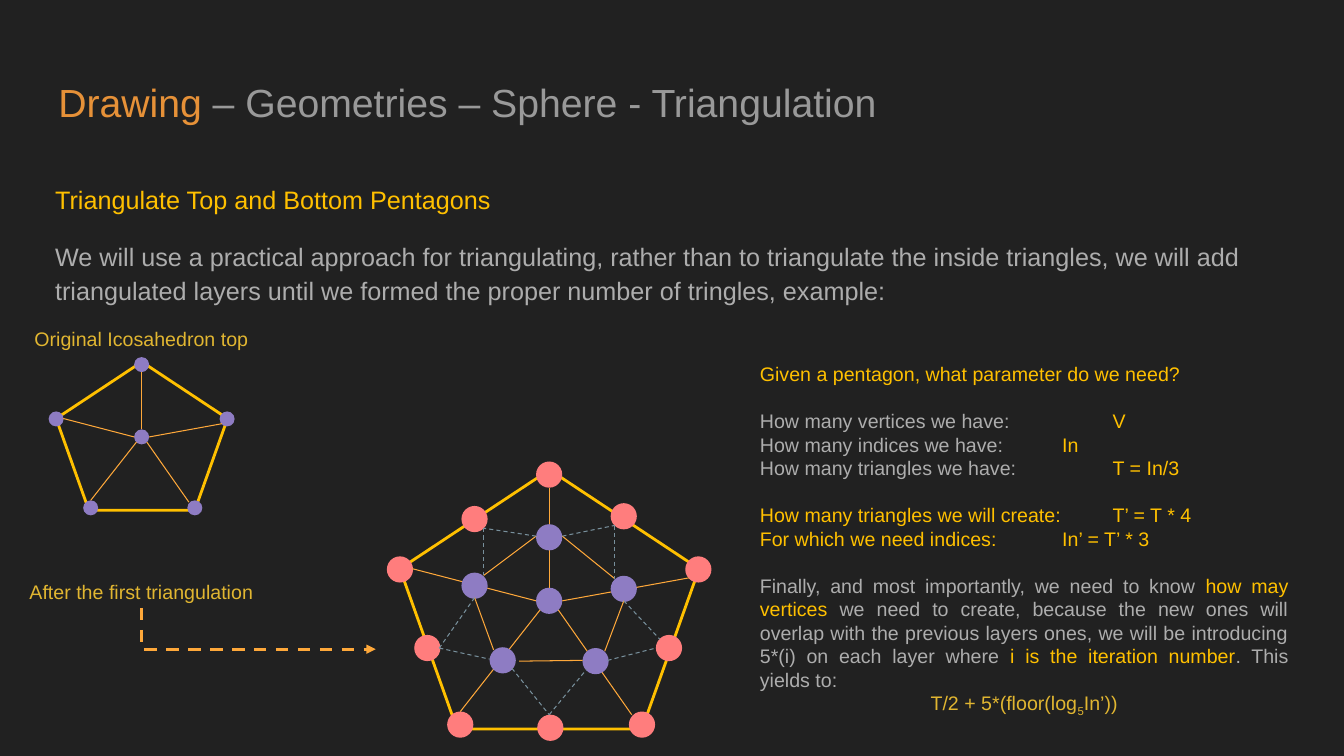
from lxml import etree
from pptx import Presentation, util as u
from pptx.dml.color import RGBColor
from pptx.enum import dml, shapes, text
from pptx.oxml.ns import qn

GOLD, SAND, ASH = "FFC000", "E1B631", "ADADAD"
ORANGE, SLATE = "FEA83A", "78909C"
PLUM, CORAL = "8E7CC3", "FF7D7D"
LEFT, MID, JUST = text.PP_ALIGN.LEFT, text.PP_ALIGN.CENTER, text.PP_ALIGN.JUSTIFY


def tint(hue):
    return RGBColor.from_string(hue)


class Art:
    font = "Arial"

    def __init__(self, slide):
        self.slide = slide
        self.items = slide.shapes
        slide.background.fill.solid()
        slide.background.fill.fore_color.rgb = tint("212121")

    def group(self):
        self.items = self.slide.shapes.add_group_shape().shapes

    def flat(self):
        self.items = self.slide.shapes

    def label(self, x, y, w, h, size, paras, pad=(0.25, 0.13), lead=None, after=0):
        frame = self.items.add_textbox(u.Cm(x), u.Cm(y), u.Cm(w), u.Cm(h)).text_frame
        frame.word_wrap = True
        frame.margin_left = frame.margin_right = u.Cm(pad[0])
        frame.margin_top = frame.margin_bottom = u.Cm(pad[1])
        for i, (align, gap, runs) in enumerate(paras):
            para = frame.add_paragraph() if i else frame.paragraphs[0]
            para.alignment = align
            para.space_before, para.space_after = u.Pt(gap), u.Pt(after)
            if lead:
                para.line_spacing = lead
            for words, hue, *base in runs:
                run = para.add_run()
                run.text = words
                run.font.name, run.font.size = self.font, u.Pt(size)
                run.font.color.rgb = tint(hue)
                if base:
                    run._r.get_or_add_rPr().set("baseline", str(base[0] * 1000))

    def shape(self, kind, x, y, w, h, fill=None, edge=None):
        item = self.items.add_shape(kind, u.Cm(x), u.Cm(y), u.Cm(w), u.Cm(h))
        item.shadow.inherit = False
        if fill:
            item.fill.solid()
            item.fill.fore_color.rgb = tint(fill)
        else:
            item.fill.background()
        if edge:
            item.line.color.rgb = tint(edge)
            item.line.width = u.Pt(2)
        else:
            item.line.fill.background()

    def dot(self, x, y, size, hue):
        self.shape(shapes.MSO_SHAPE.OVAL, x - size / 2, y - size / 2, size, size, hue)

    def line(self, start, end, hue=ORANGE, width=0.75, dash=False,
             kind=shapes.MSO_CONNECTOR.STRAIGHT):
        link = self.items.add_connector(kind, *(u.Cm(v) for v in (*start, *end)))
        link.line.color.rgb = tint(hue)
        link.line.width = u.Pt(width)
        if dash:
            link.line.dash_style = dml.MSO_LINE.DASH
        etree.SubElement(link._element.spPr, qn("a:effectLst"))
        return link

    def bend(self, start, end, hue, width):
        x, y = (start[0] + end[0]) / 2, (start[1] + end[1]) / 2
        w, h = end[1] - start[1], end[0] - start[0]
        link = self.line((x - w / 2, y - h / 2), (x + w / 2, y + h / 2),
                         hue, width, True, shapes.MSO_CONNECTOR.ELBOW)
        props = link._element.spPr
        props.find(qn("a:prstGeom")).set("prst", "bentConnector2")
        frame = props.find(qn("a:xfrm"))
        frame.set("rot", "16200000")
        frame.set("flipH", "1")
        etree.SubElement(props.find(qn("a:ln")), qn("a:tailEnd"), type="triangle")

    def trail(self, hub, points, scale=1, hue=ORANGE, dash=False):
        spots = [(hub[0] + x * scale, hub[1] + y * scale) for x, y in points]
        for start, end in zip(spots, spots[1:]):
            self.line(start, end, hue, dash=dash)

    def dots(self, hub, points, hue, scale=1):
        for x, y in points:
            self.dot(hub[0] + x * scale, hub[1] + y * scale, 0.66 * scale, hue)

    def net(self, hub, scale, hue):
        self.shape(shapes.MSO_SHAPE.REGULAR_PENTAGON, hub[0] - 3.76 * scale,
                   hub[1] - 3.3 * scale, 7.54 * scale, 6.53 * scale, edge=GOLD)
        self.dots(hub, [(0, 0)], PLUM, scale)
        self.dots(hub, TIPS, hue, scale)
        for spoke in SPOKES:
            self.trail(hub, spoke, scale)


TIPS = [(0, -3.18), (3.76, -0.79), (2.34, 3.12), (-2.24, 3.12), (-3.76, -0.79)]
SPOKES = [
    [(0, -0.33), (0, -2.84)],
    [(0.33, 0), (3.53, -0.58)],
    [(0.23, 0.23), (2.08, 2.87)],
    [(-0.23, 0.23), (-2.24, 2.79)],
    [(-0.33, 0), (-3.45, -0.81)],
]
INNER = [(0, -1.6), (1.88, -0.3), (1.17, 1.52), (-1.17, 1.5), (-1.88, -0.38)]
OUTER = [(1.88, -2.13), (3.02, 1.19), (0.03, 3.2), (-3.07, 1.19), (-1.88, -2.06)]
RING = [
    [(-0.33, -1.63), (-1.65, -0.64)],
    [(-1.88, -0.08), (-1.4, 1.24)],
    [(-0.76, 1.52), (0.84, 1.5)],
    [(1.4, 1.27), (1.88, 0)],
    [(1.65, -0.56), (0.33, -1.63)],
]
DASHES = [
    [(0.33, -1.63), (1.65, -1.9), (1.65, -0.56)],
    [(-0.33, -1.63), (-1.65, -1.83), (-1.65, -0.64)],
    [(-1.88, -0.08), (-2.77, 1.19), (-1.5, 1.47)],
    [(-0.94, 1.7), (0, 2.87), (0.94, 1.73)],
    [(1.47, 1.5), (2.69, 1.19)],
    [(1.88, 0), (2.79, 0.97)],
]
GAP = 16.8
NOTES = [
    (JUST, 0, [("Given a pentagon, what parameter do we need?", GOLD)]),
    (JUST, GAP, [("How many vertices we have: ", ASH), ("\t\tV", GOLD)]),
    (JUST, 0, [("How many indices we have:", ASH), ("\t\tIn", GOLD)]),
    (JUST, 0, [("How many triangles we have:", ASH), ("\t\tT = In/3", GOLD)]),
    (JUST, GAP, [("How many triangles we will create:\t\tT’ = T * 4", GOLD)]),
    (JUST, 0, [("For which we need indices:\t\tIn’ = T’ * 3", GOLD)]),
    (JUST, GAP, [
        ("Finally, and most importantly, we need to know ", ASH),
        ("how may vertices ", GOLD),
        ("we need to create, because the new ones will overlap with the previous "
         "layers ones, we will be introducing 5*(i) on each layer where ", ASH),
        ("i is the iteration number", GOLD),
        (". This yields to:", ASH)]),
    (MID, 0, [("T/2 + 5*(floor(log", SAND), ("5", SAND, -25), ("In’))", SAND)]),
]


def main():
    deck = Presentation()
    deck.slide_width, deck.slide_height = u.Cm(33.87), u.Cm(19.05)
    art = Art(deck.slides.add_slide(deck.slide_layouts[6]))

    art.label(1.14, 1.65, 31.55, 2.13, 28, [
        (LEFT, 0, [("Drawing ", "E69138"),
                   ("– Geometries – Sphere - Triangulation", "999999")]),
    ], pad=(0.33, 0.33))
    art.label(1.14, 4.27, 31.55, 2.79, 18, [
        (LEFT, 0, [("Triangulate Top and Bottom Pentagons", GOLD)]),
        (LEFT, 0, [("We will use a practical approach for triangulating, rather than to "
                    "triangulate the inside triangles, we will add triangulated layers "
                    "until we formed the proper number of tringles, example:", ASH)]),
    ], pad=(0.25, 0.25), lead=1.15, after=16)

    for y, words in ((8.1, "Original Icosahedron top"),
                     (14.48, "After the first triangulation")):
        art.label(0.2, y, 6.73, 0.86, 14, [(MID, 0, [(words, SAND)])])

    art.net((3.57, 11.01), 0.573, PLUM)

    hub = (13.84, 15.14)
    art.group()
    art.net(hub, 1, CORAL)
    art.dots(hub, INNER, PLUM)
    art.dots(hub, OUTER, CORAL)
    for side in RING:
        art.trail(hub, side)
    for side in DASHES:
        art.trail(hub, side, hue=SLATE, dash=True)
    art.flat()

    art.bend((3.57, 15.32), (9.47, 16.36), ORANGE, 2.25)
    art.label(18.9, 8.99, 13.82, 9.25, 14, NOTES)
    deck.save("out.pptx")


if __name__ == "__main__":
    main()
